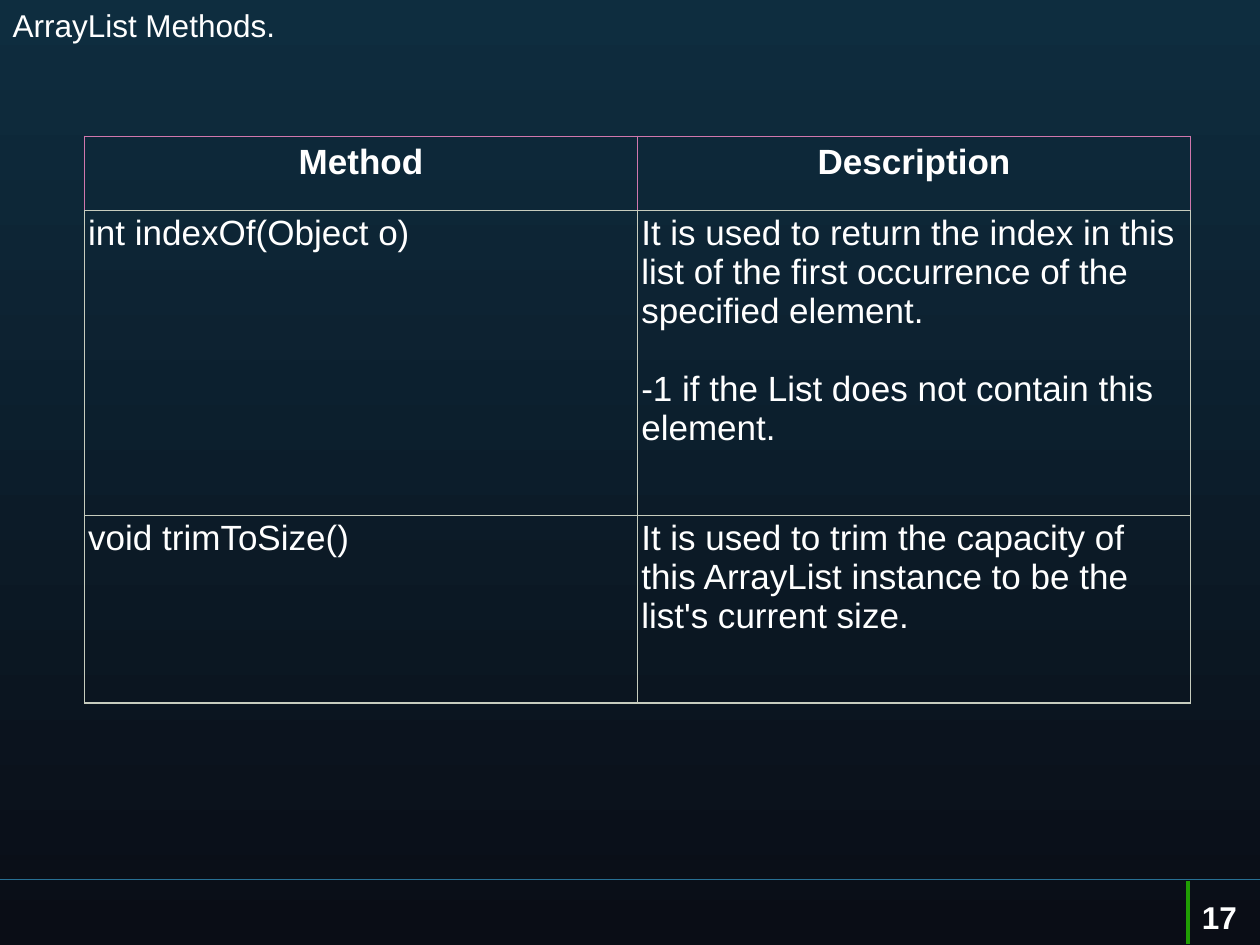
from lxml import etree
from pptx import Presentation
from pptx.dml.color import RGBColor
from pptx.enum.shapes import MSO_CONNECTOR
from pptx.enum.text import MSO_ANCHOR, PP_ALIGN
from pptx.oxml.ns import qn
from pptx.util import Inches, Pt

LEFT, CENTER = PP_ALIGN.LEFT, PP_ALIGN.CENTER
TOP = MSO_ANCHOR.TOP
STRAIGHT = MSO_CONNECTOR.STRAIGHT

WIDTH, HEIGHT = 10, 7.5
FONT, WHITE = "Arial", "FFFFFF"
BACKGROUND = ["0E2D3F", "0A0D16"]
HEADER_BORDER, BODY_BORDER, BORDER_POINTS = "D077AD", "C7CCBE", 0.75

TITLE = "ArrayList Methods."
PAGE_NUMBER = "17"
# Each cell is a list of paragraphs.
ROWS = [
    [["Method"], ["Description"]],
    [["int indexOf(Object o)"],
     ["It is used to return the index in this list of the first occurrence of the specified element.",
      "-1 if the List does not contain this element."]],
    [["void trimToSize()"],
     ["It is used to trim the capacity of this ArrayList instance to be the list's current size."]],
]
ROW_HEIGHTS = [0.59, 2.42, 1.49]
TABLE_LEFT, TABLE_TOP, COLUMN_WIDTH = 0.67, 1.08, 4.39
FOOTER_LINES = [  # start, end, colour, points
    ((WIDTH, 6.98), (0, 6.98), "287094", 0.75),
    ((9.43, 6.99), (9.43, 7.49), "209D03", 2),
]


def color(hex_string):
    return RGBColor.from_string(hex_string)


def set_attributes(target, values):
    for name, value in values.items():
        setattr(target, name, value)


def write(text_frame, paragraphs, size, bold=False, alignment=LEFT, gap=0):
    """Fill a text frame; gap is the space in points between paragraphs."""
    set_attributes(text_frame, {"word_wrap": True, "vertical_anchor": TOP})
    for index, text in enumerate(paragraphs):
        paragraph = text_frame.add_paragraph() if index else text_frame.paragraphs[0]
        set_attributes(paragraph, {"alignment": alignment,
                                   "space_before": Pt(gap if index else 0)})
        run = paragraph.add_run()
        run.text = text
        set_attributes(run.font, {"name": FONT, "size": Pt(size), "bold": bold})
        run.font.color.rgb = color(WHITE)


def set_borders(cell, side_colors):
    properties = cell._tc.get_or_add_tcPr()
    for index, (side, hex_string) in enumerate(side_colors.items()):
        line = etree.Element(qn(f"a:ln{side}"), w=str(Pt(BORDER_POINTS)))
        fill = etree.SubElement(line, qn("a:solidFill"))
        etree.SubElement(fill, qn("a:srgbClr"), val=hex_string)
        properties.insert(index, line)


def add_line(slide, start, end, hex_string, points):
    connector = slide.shapes.add_connector(
        STRAIGHT, *(Inches(value) for value in start + end))
    connector.line.color.rgb = color(hex_string)
    connector.line.width = Pt(points)
    etree.SubElement(connector._element.spPr, qn("a:effectLst"))


def add_methods_table(slide):
    column_count = len(ROWS[0])
    frame = slide.shapes.add_table(
        len(ROWS), column_count, Inches(TABLE_LEFT), Inches(TABLE_TOP),
        Inches(COLUMN_WIDTH * column_count), Inches(sum(ROW_HEIGHTS)))
    table = frame.table
    set_attributes(table, {"first_row": False, "horz_banding": False})
    for row_index, row in enumerate(ROWS):
        table.rows[row_index].height = Inches(ROW_HEIGHTS[row_index])
        header = row_index == 0
        margin = Inches(0.05 if header else 0.03)
        side_color = HEADER_BORDER if header else BODY_BORDER
        for column_index, paragraphs in enumerate(row):
            cell = table.cell(row_index, column_index)
            set_attributes(cell, {f"margin_{side}": margin
                                  for side in ("left", "top", "right", "bottom")})
            cell.vertical_anchor = TOP
            cell.fill.background()
            set_borders(cell, {"L": side_color, "R": side_color,
                               "T": side_color, "B": BODY_BORDER})
            write(cell.text_frame, paragraphs, 20, header,
                  CENTER if header else LEFT, gap=22)


def main():
    presentation = Presentation()
    set_attributes(presentation, {"slide_width": Inches(WIDTH),
                                  "slide_height": Inches(HEIGHT)})
    slide = presentation.slides.add_slide(presentation.slide_layouts[5])

    background = slide.background.fill
    background.gradient()
    background.gradient_angle = 270
    for position, (stop, hex_string) in enumerate(zip(background.gradient_stops, BACKGROUND)):
        stop.position = position
        stop.color.rgb = color(hex_string)

    for footer_line in FOOTER_LINES:
        add_line(slide, *footer_line)

    title = slide.shapes.title
    set_attributes(title, {"left": 0, "top": 0,
                           "width": Inches(WIDTH * 0.75), "height": Inches(0.58)})
    write(title.text_frame, [TITLE], 18)

    number = slide.shapes.add_textbox(Inches(9.44), Inches(7.08), Inches(0.81), Inches(0.25))
    write(number.text_frame, [PAGE_NUMBER], 18, bold=True)

    add_methods_table(slide)
    presentation.save("out.pptx")


if __name__ == "__main__":
    main()
